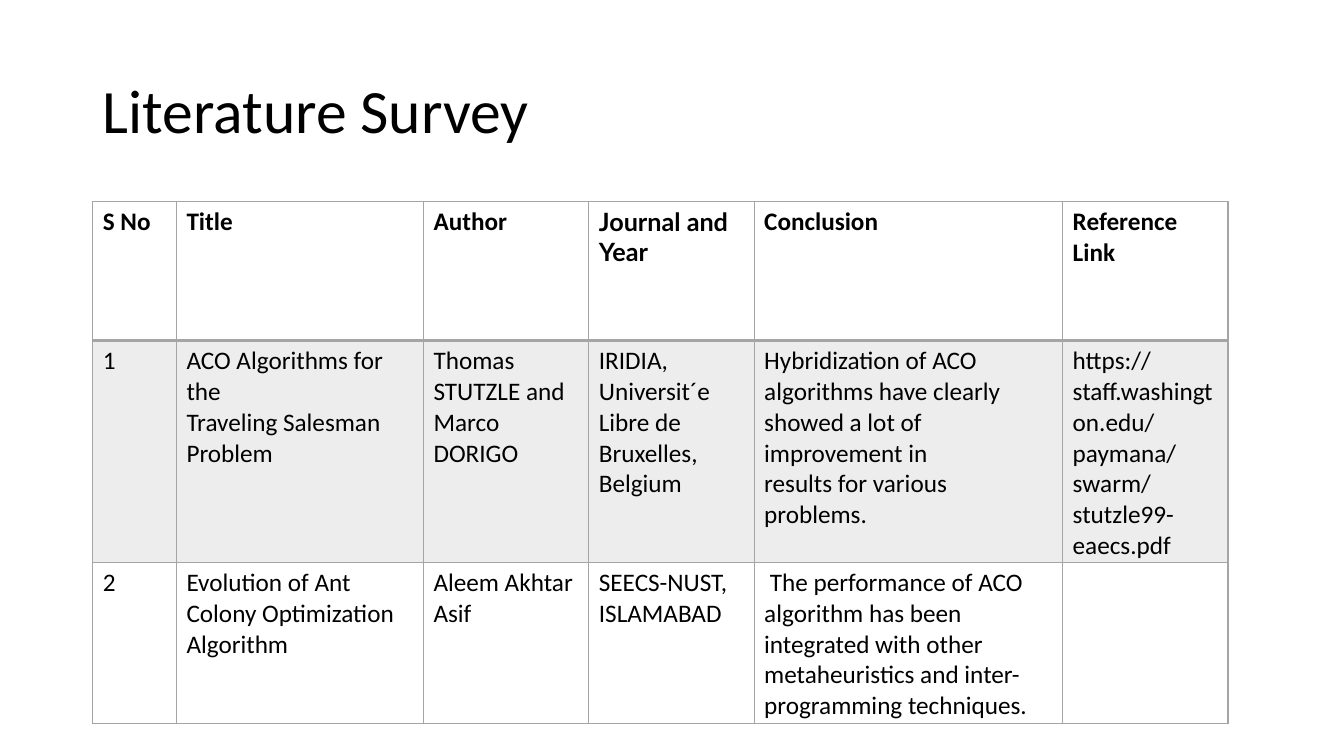
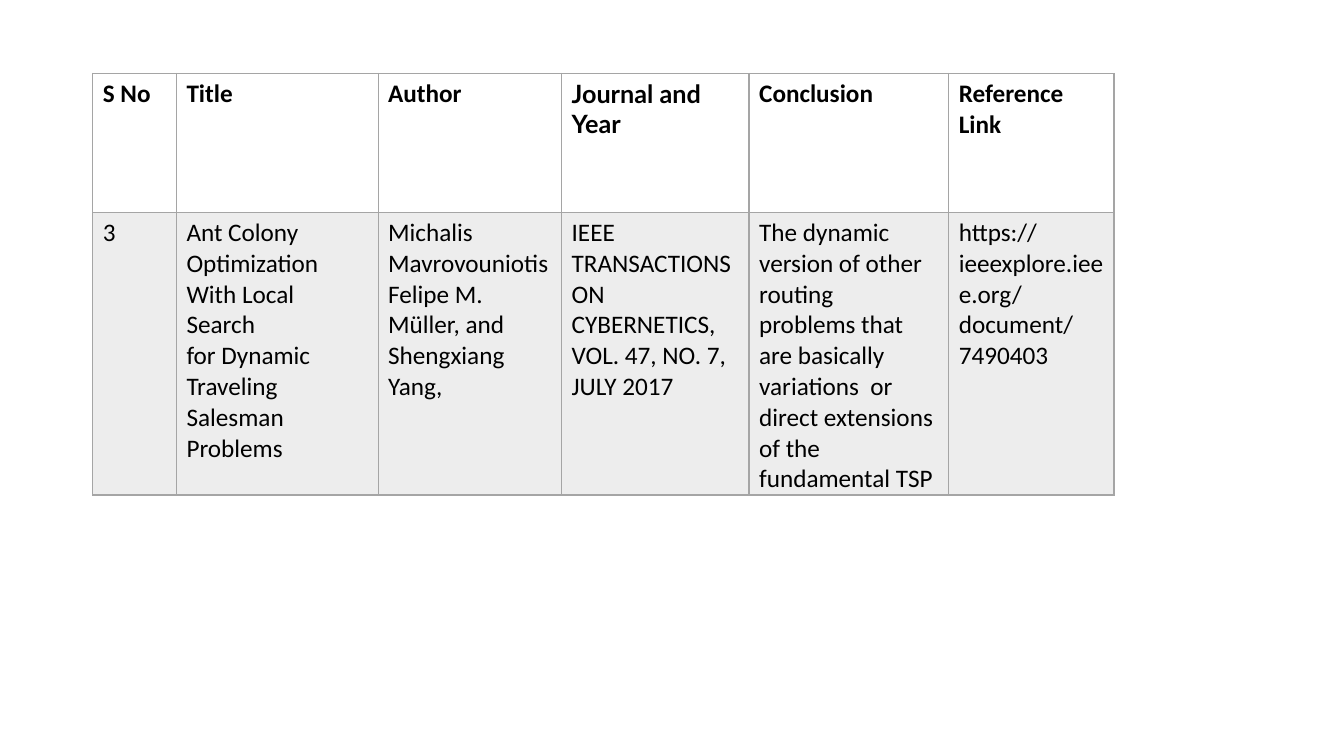
from lxml import etree
from pptx import Presentation
from pptx.dml.color import RGBColor
from pptx.enum.text import MSO_ANCHOR
from pptx.oxml.ns import qn
from pptx.util import Inches, Pt

MIDDLE = MSO_ANCHOR.MIDDLE
COLORS = {"text": "000000", "rule": "A5A5A5", "band": "EDEDED"}
FONT, ALT = "Calibri", "Lato"
LEFT, ROW = 0.92, 1.38

# Content: each cell is text, with a newline between paragraphs
HEADS = ["S No", "Title", "Author", "Journal and Year", "Conclusion", "Reference Link"]
PAGES = [
    {
        "title": "Literature Survey",
        "top": 2,
        "rule": 2,
        "cols": [0.83, 2.45, 1.64, 1.64, 3.06, 1.64],
        "rows": [
            ["1",
             "ACO Algorithms for the\nTraveling Salesman Problem",
             "Thomas STUTZLE and Marco DORIGO",
             "IRIDIA, Universit´e Libre de Bruxelles, Belgium",
             "Hybridization of ACO algorithms have clearly showed a lot of "
             "improvement in\nresults for various problems.",
             "https://staff.washington.edu/paymana/swarm/stutzle99-eaecs.pdf"],
            ["2",
             "Evolution of Ant Colony Optimization\nAlgorithm",
             "Aleem Akhtar Asif",
             "SEECS-NUST, ISLAMABAD",
             " The performance of ACO algorithm has been integrated with other "
             "metaheuristics and inter-programming techniques.",
             ""],
        ],
    },
    {
        "title": None,
        "top": 0.73,
        "rule": 1,
        "cols": [0.83, 2, 1.82, 1.86, 1.98, 1.64],
        "rows": [
            ["3",
             "Ant Colony Optimization With Local Search\n"
             "for Dynamic Traveling Salesman Problems",
             "Michalis Mavrovouniotis\nFelipe M. Müller, and Shengxiang Yang,",
             "IEEE TRANSACTIONS ON CYBERNETICS, VOL. 47, NO. 7, JULY 2017",
             "The dynamic version of other routing\n"
             "problems that are basically variations  or direct extensions\n"
             "of the fundamental TSP",
             "https://ieeexplore.ieee.org/document/7490403"],
        ],
    },
]


def color(name):
    return RGBColor.from_string(COLORS[name])


def write(frame, text, size, bold=False, face=FONT):
    for i, line in enumerate(text.split("\n")):
        para = frame.paragraphs[0] if i == 0 else frame.add_paragraph()
        para.font.size = Pt(size)
        if line:
            run = para.add_run()
            run.text = line
            font = run.font
            font.size, font.bold, font.name = Pt(size), bold, face
            font.color.rgb = color("text")


def add_title(slide, text):
    box = slide.shapes.add_textbox(Inches(LEFT), Inches(0.4), Inches(11.5), Inches(1.45))
    frame = box.text_frame
    frame.word_wrap = True
    frame.vertical_anchor = MIDDLE
    write(frame, text, 44)
    frame.paragraphs[0].line_spacing = 0.9


def add_rules(cell, top, bottom):
    # Borders come before the fill in the cell properties
    props = cell._tc.get_or_add_tcPr()
    for side, width in (("L", 1), ("R", 1), ("T", top), ("B", bottom)):
        line = etree.SubElement(props, qn(f"a:ln{side}"), w=str(Pt(width)))
        fill = etree.SubElement(line, qn("a:solidFill"))
        etree.SubElement(fill, qn("a:srgbClr"), val=COLORS["rule"])


def add_survey(slide, page):
    cols, rows = page["cols"], [HEADS] + page["rows"]
    table = slide.shapes.add_table(
        len(rows), len(cols), Inches(LEFT), Inches(page["top"]),
        Inches(sum(cols)), Inches(ROW * len(rows))).table
    table.first_row = table.horz_banding = False
    for col, width in zip(table.columns, cols):
        col.width = Inches(width)
    for r, texts in enumerate(rows):
        table.rows[r].height = Inches(ROW)
        head = r == 0
        for c, text in enumerate(texts):
            cell = table.cell(r, c)
            add_rules(cell, page["rule"] if r == 1 else 1, page["rule"] if head else 1)
            if r % 2:
                cell.fill.solid()
                cell.fill.fore_color.rgb = color("band")
            else:
                cell.fill.background()
            face = ALT if head and text == "Journal and Year" else FONT
            write(cell.text_frame, text, 18, head, face)


def main():
    deck = Presentation()
    deck.slide_width, deck.slide_height = Inches(13.33), Inches(7.5)
    for page in PAGES:
        slide = deck.slides.add_slide(deck.slide_layouts[6])
        if page["title"]:
            add_title(slide, page["title"])
        add_survey(slide, page)
    deck.save("out.pptx")


if __name__ == "__main__":
    main()
